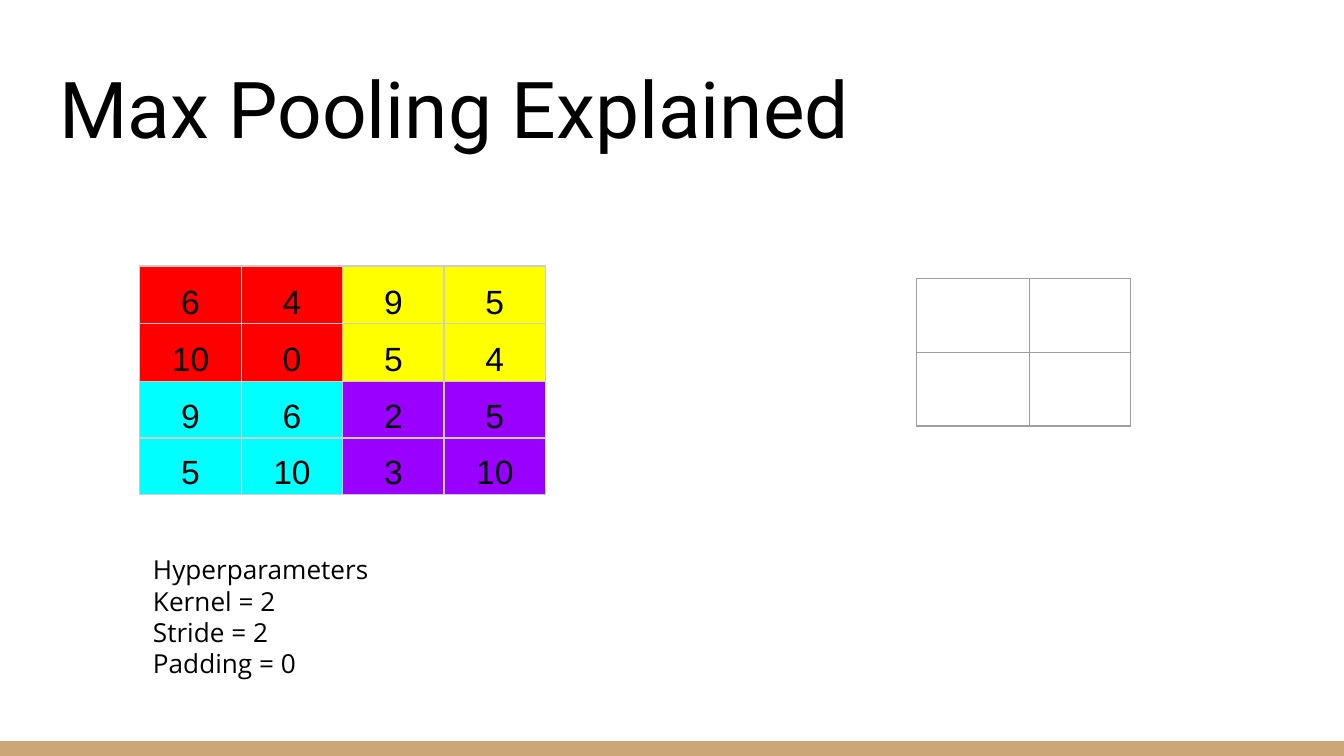
from lxml import etree
from pptx import Presentation
from pptx.dml.color import RGBColor
from pptx.enum.shapes import MSO_SHAPE
from pptx.enum.text import MSO_ANCHOR, MSO_AUTO_SIZE, PP_ALIGN
from pptx.oxml.ns import qn
from pptx.util import Inches, Pt

RECTANGLE = MSO_SHAPE.RECTANGLE
TOP, BOTTOM = MSO_ANCHOR.TOP, MSO_ANCHOR.BOTTOM
NO_AUTOSIZE = MSO_AUTO_SIZE.NONE
LEFT, CENTER = PP_ALIGN.LEFT, PP_ALIGN.CENTER

SLIDE_WIDTH = 10
SLIDE_HEIGHT = SLIDE_WIDTH * 9 / 16
FOOTER_HEIGHT = 0.11
TITLE_ONLY = 5
WINDOW = 2
COLORS = {
    "text": "000000",
    "background": "FFFFFF",
    "footer": "CCA677",
    "input_border": "CCCCCC",
    "output_border": "9E9E9E",
    "red": "FF0000",
    "yellow": "FFFF00",
    "cyan": "00FFFF",
    "purple": "9900FF",
}
INPUT_VALUES = [[6, 4, 9, 5], [10, 0, 5, 4], [9, 6, 2, 5], [5, 10, 3, 10]]
WINDOW_COLORS = [["red", "yellow"], ["cyan", "purple"]]
HYPERPARAMETERS = ["Hyperparameters", "Kernel = 2", "Stride = 2", "Padding = 0"]


def color(name):
    """Return the named palette colour."""
    return RGBColor.from_string(COLORS[name])


def place(shape, box):
    """Move and size a shape to a box given in inches."""
    shape.left, shape.top, shape.width, shape.height = map(Inches, box)


def format_text(text_frame, font_name, size, alignment=LEFT):
    """Apply one font and alignment to all paragraphs."""
    for paragraph in text_frame.paragraphs:
        paragraph.alignment = alignment
        for run in paragraph.runs:
            run.font.name = font_name
            run.font.size = Pt(size)
            run.font.color.rgb = color("text")


def format_frame(text_frame, anchor):
    """Give a text frame equal insets, wrapping and an anchor."""
    text_frame.auto_size = NO_AUTOSIZE
    text_frame.word_wrap = True
    text_frame.vertical_anchor = anchor
    text_frame.margin_left = text_frame.margin_right = Inches(0.1)
    text_frame.margin_top = text_frame.margin_bottom = Inches(0.1)


def add_border(cell, color_name):
    """Draw a thin line on all four sides of a cell."""
    properties = cell._tc.get_or_add_tcPr()
    for index, side in enumerate(("a:lnL", "a:lnR", "a:lnT", "a:lnB")):
        line = etree.Element(qn(side), w=str(Pt(0.75)))
        fill = etree.SubElement(line, qn("a:solidFill"))
        etree.SubElement(fill, qn("a:srgbClr"), val=COLORS[color_name])
        properties.insert(index, line)


def add_grid(slide, left, top, column_widths, row_heights, border):
    """Add an unfilled bordered table and return it."""
    box = (left, top, sum(column_widths), sum(row_heights))
    table = slide.shapes.add_table(
        len(row_heights), len(column_widths), *map(Inches, box)
    ).table
    table.first_row = table.horz_banding = False
    for column, width in zip(table.columns, column_widths):
        column.width = Inches(width)
    for row, height in zip(table.rows, row_heights):
        row.height = Inches(height)
    for cell in table.iter_cells():
        cell.fill.background()
        add_border(cell, border)
    return table


def add_footer_bar(slide, box):
    """Add the coloured bar along the bottom edge."""
    bar = slide.shapes.add_shape(RECTANGLE, *map(Inches, box))
    bar.shadow.inherit = False
    bar.fill.solid()
    bar.fill.fore_color.rgb = color("footer")
    bar.line.fill.background()


def set_title(slide, box):
    """Place and format the slide title."""
    title = slide.shapes.title
    place(title, box)
    title.text_frame.text = "Max Pooling Explained"
    format_frame(title.text_frame, BOTTOM)
    format_text(title.text_frame, "Roboto", 42)


def add_input_matrix(slide, left, top, width):
    """Add the input values, coloured by pooling window."""
    column_count = len(INPUT_VALUES[0])
    table = add_grid(
        slide,
        left,
        top,
        [width / column_count] * column_count,
        [0.43, 0.43, 0.42, 0.42],
        "input_border",
    )
    for row, values in enumerate(INPUT_VALUES):
        for column, value in enumerate(values):
            cell = table.cell(row, column)
            cell.fill.solid()
            cell.fill.fore_color.rgb = color(
                WINDOW_COLORS[row // WINDOW][column // WINDOW]
            )
            cell.vertical_anchor = BOTTOM
            cell.margin_left = cell.margin_right = Inches(0.03)
            cell.margin_top = cell.margin_bottom = Inches(0.02)
            cell.text_frame.text = str(value)
            cell.text_frame.paragraphs[0].line_spacing = 1.15
            format_text(cell.text_frame, "Arial", 18, CENTER)


def add_hyperparameters(slide, box):
    """Add the list of pooling settings."""
    text_frame = slide.shapes.add_textbox(*map(Inches, box)).text_frame
    text_frame.text = "\n".join(HYPERPARAMETERS)
    format_frame(text_frame, TOP)
    format_text(text_frame, "Open Sans", 14)


def main():
    """Build and save the max pooling slide."""
    presentation = Presentation()
    presentation.slide_width = Inches(SLIDE_WIDTH)
    presentation.slide_height = Inches(SLIDE_HEIGHT)
    slide = presentation.slides.add_slide(presentation.slide_layouts[TITLE_ONLY])
    slide.background.fill.solid()
    slide.background.fill.fore_color.rgb = color("background")
    footer_top = SLIDE_HEIGHT - FOOTER_HEIGHT
    add_footer_bar(slide, (0, footer_top, SLIDE_WIDTH, FOOTER_HEIGHT))
    set_title(slide, (0.34, 0.35, 9.32, 0.9))
    add_input_matrix(slide, 1.04, 1.98, 3.02)
    add_grid(slide, 6.82, 2.07, [0.84, 0.75], [0.55, 0.55], "output_border")
    add_hyperparameters(slide, (1.04, 4.02, 2.33, 0.91))
    presentation.save("out.pptx")


if __name__ == "__main__":
    main()
